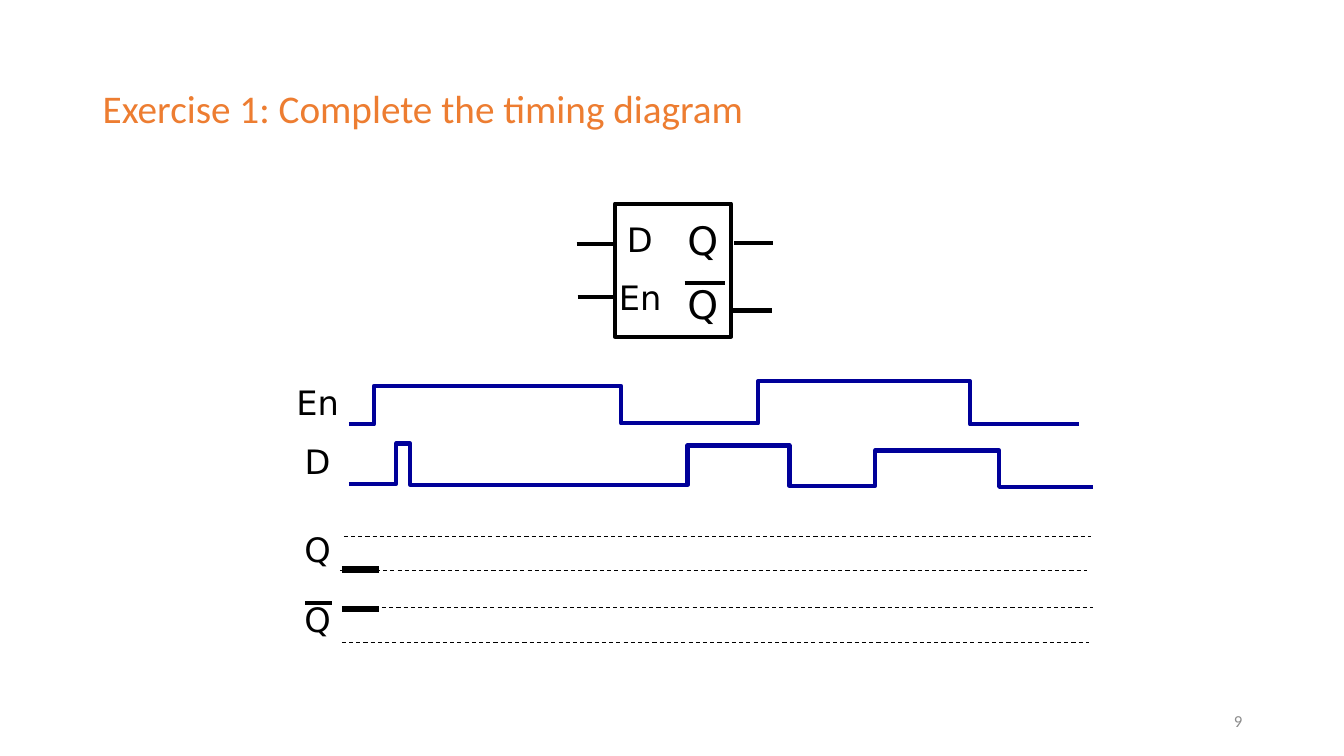
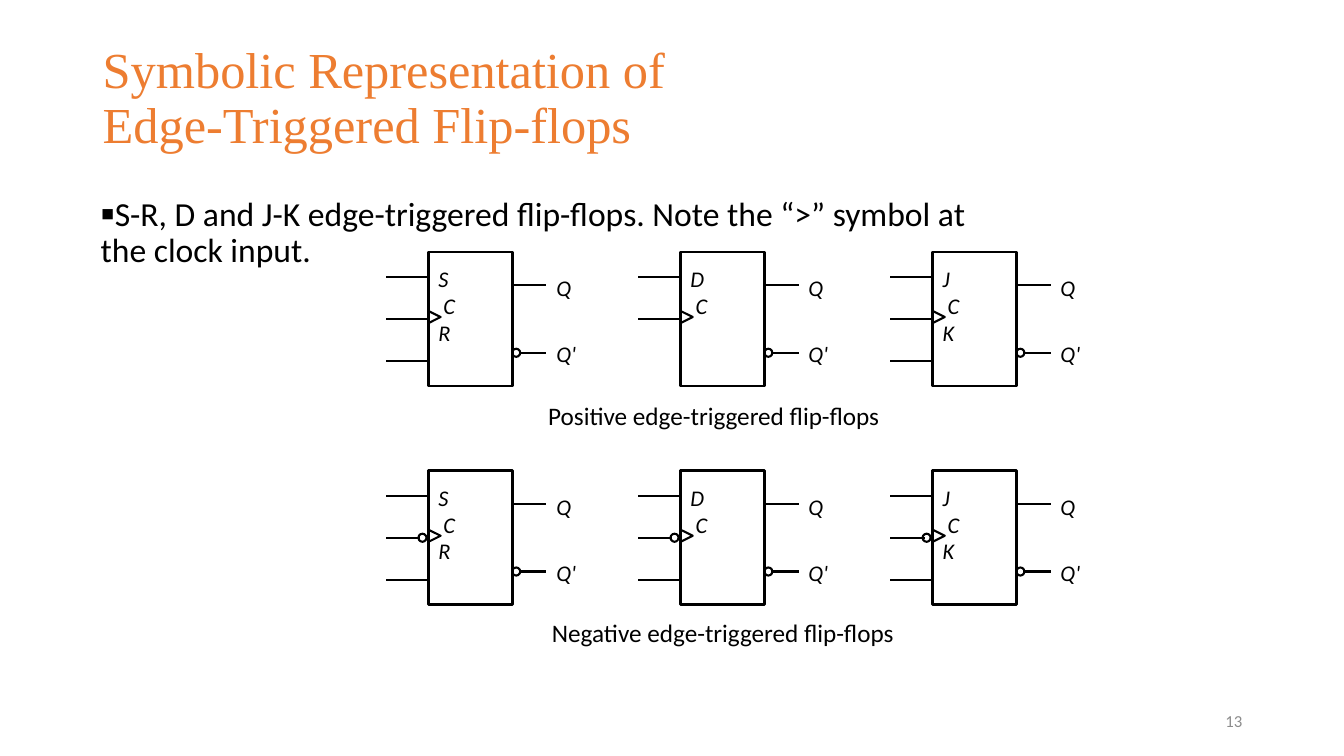
"""Build two slides on latches and edge-triggered flip-flops."""
from lxml import etree
from pptx import Presentation
from pptx import util as u
from pptx.dml.color import RGBColor
from pptx.enum import dml, shapes, text
from pptx.oxml import ns

ORANGE = RGBColor(0xED, 0x7D, 0x31)
NAVY = RGBColor(0x00, 0x00, 0x99)
BLACK = RGBColor(0x00, 0x00, 0x00)
WHITE = RGBColor(0xFF, 0xFF, 0xFF)
GRAY = RGBColor(0x8C, 0x8C, 0x8C)
BODY = "Calibri"
DIAGRAM = "DejaVu Sans"
CENTER = text.PP_ALIGN.CENTER


class Deck:
    def __init__(self):
        self.prs = Presentation()
        self.prs.slide_width = u.Inches(13.33)
        self.prs.slide_height = u.Inches(7.5)

    def start_slide(self, title, number, top, size, font=BODY):
        self.slide = self.prs.slides.add_slide(self.prs.slide_layouts[6])
        self.end_group()
        heading = self.label(title, 0.92, top, 11.5, 1.45, size, font, ORANGE)
        heading.paragraphs[0].line_spacing = 0.9
        page = self.label(str(number), 9.42, 6.95, 3, 0.4, 12, color=GRAY,
                          align=text.PP_ALIGN.RIGHT)
        page.vertical_anchor = text.MSO_ANCHOR.MIDDLE

    def start_group(self):
        self.canvas = self.slide.shapes.add_group_shape().shapes

    def end_group(self):
        self.canvas = self.slide.shapes

    def label(self, words, left, top, width, height, size, font=BODY,
              color=BLACK, align=text.PP_ALIGN.LEFT, italic=False, wrap=True):
        box = self.canvas.add_textbox(*map(u.Inches, (left, top, width, height)))
        frame = box.text_frame
        frame.word_wrap = wrap
        frame.text = words
        for paragraph in frame.paragraphs:
            paragraph.alignment = align
            for run in paragraph.runs:
                run.font.size = u.Pt(size)
                run.font.name = font
                run.font.color.rgb = color
                run.font.italic = italic
        return frame

    def bullet(self, words, left, top, width, height, size):
        paragraph = self.label(words, left, top, width, height, size).paragraphs[0]
        paragraph.line_spacing = 0.9
        props = paragraph._p.get_or_add_pPr()
        for tag, name, value in (("a:buSzPct", "val", "120000"),
                                 ("a:buFont", "typeface", BODY),
                                 ("a:buChar", "char", "▪")):
            etree.SubElement(props, ns.qn(tag)).set(name, value)

    def outline(self, shape, weight, color=BLACK, fill=None):
        shape.shadow.inherit = False
        if fill is None:
            shape.fill.background()
        else:
            shape.fill.solid()
            shape.fill.fore_color.rgb = fill
        shape.line.color.rgb = color
        shape.line.width = u.Pt(weight)
        return shape

    def shape(self, kind, left, top, width, height, weight, fill=None):
        form = self.canvas.add_shape(kind, *map(u.Inches, (left, top, width, height)))
        return self.outline(form, weight, fill=fill)

    def line(self, left, right, y, weight, dashed=False):
        wire = self.canvas.add_connector(shapes.MSO_CONNECTOR.STRAIGHT,
                                         *map(u.Inches, (left, y, right, y)))
        wire.line.color.rgb = BLACK
        wire.line.width = u.Pt(weight)
        if dashed:
            wire.line.dash_style = dml.MSO_LINE.DASH
        etree.SubElement(wire._element.spPr, ns.qn("a:effectLst"))
        return wire

    def waveform(self, start, steps):
        corners = []
        for level, end in steps:
            corners += [(u.Inches(start), u.Inches(level)),
                        (u.Inches(end), u.Inches(level))]
            start = end
        builder = self.canvas.build_freeform(*corners[0])
        builder.add_line_segments(corners[1:], close=False)
        self.outline(builder.convert_to_shape(), 3, NAVY)

    def bubble(self, left, top):
        self.shape(shapes.MSO_SHAPE.OVAL, left, top, 0.08, 0.08, 1.5)

    def flip_flop(self, left, top, inputs, negative, third_wire):
        height = 1.33
        clock = top + height / 2
        self.start_group()
        body = self.shape(shapes.MSO_SHAPE.RECTANGLE, left, top, 0.83, height, 2)
        self.line(left - 0.42, left, top + 0.25, 1.5)
        if third_wire:
            self.line(left - 0.42, left, top + 1.08, 1.5)
        if negative:
            self.line(left - 0.42, left - 0.08, clock, 1.5)
            self.bubble(left - 0.1, clock - 0.04)
        else:
            self.line(left - 0.42, left, clock, 1.5).end_connect(body, 1)
        edge = self.shape(shapes.MSO_SHAPE.ISOSCELES_TRIANGLE,
                          left, clock - 0.08, 0.12, 0.12, 1.5)
        edge.rotation = 90
        self.line(left + 0.83, left + 1.17, top + 0.33, 1.5)
        self.line(left + 0.92, left + 1.17, top + 1, 1.5)
        self.bubble(left + 0.83, top + 0.96)
        names = self.label("\n".join(inputs), left, top + 0.08, 0.58, 0.91, 16,
                           italic=True)
        names.paragraphs[1]._p.get_or_add_pPr().set("marL", str(u.Inches(0.05)))
        outputs = self.label("Q\nQ'", left + 1.17, top + 0.17, 0.5, 1.06, 16,
                             italic=True)
        outputs.paragraphs[1].space_before = u.Pt(28)
        self.end_group()


def timing_slide(deck):
    deck.start_slide("Exercise 1: Complete the timing diagram", 9, 0.84, 28)
    deck.waveform(3.46, [(4.21, 3.71), (3.83, 6.16), (4.2, 7.52),
                         (3.78, 9.62), (4.21, 10.7)])
    deck.waveform(3.46, [(4.8, 3.93), (4.4, 4.07), (4.81, 6.82), (4.42, 7.83),
                         (4.82, 8.68), (4.47, 9.91), (4.83, 10.84)])
    for signal, top in (("En", 3.74), ("D", 4.33), ("Q", 5.2), ("Q", 5.89)):
        deck.label(signal, 2.65, top, 1, 0.5, 24, DIAGRAM, align=CENTER)
    for left, level in ((3.41, 5.32), (3.37, 5.66), (3.43, 6.03), (3.39, 6.37)):
        deck.line(left, left + 7.41, level, 0.75, dashed=True)
    for initial_level in (5.65, 6.04):
        deck.line(3.39, 3.76, initial_level, 4.5)
    deck.line(3.03, 3.29, 5.98, 3)

    deck.start_group()
    deck.shape(shapes.MSO_SHAPE.RECTANGLE, 6.1, 2.02, 1.15, 1.32, 3, WHITE)
    for left, right, y in ((5.72, 6.11, 2.42), (5.73, 6.1, 2.95),
                           (7.28, 7.67, 2.41), (7.27, 7.66, 3.08),
                           (6.79, 7.19, 2.81)):
        deck.line(left, right, y, 3)
    for pin, left, top, width, size in (("D", 6.12, 2.12, 0.46, 24),
                                        ("En", 6.04, 2.7, 0.63, 24),
                                        ("Q", 6.72, 2.1, 0.51, 28),
                                        ("Q", 6.72, 2.73, 0.51, 28)):
        deck.label(pin, left, top, width, 0.5, size, DIAGRAM, wrap=False)
    deck.end_group()


def symbols_slide(deck):
    deck.start_slide("Symbolic Representation of\vEdge-Triggered Flip-flops",
                     13, 0.4, 36, "Times New Roman")
    for top, negative in ((2.5, False), (4.67, True)):
        for column, inputs in enumerate(("SCR", "DC", "JCK")):
            deck.flip_flop(4.25 + 2.5 * column, top, inputs, negative,
                           third_wire=negative or len(inputs) == 3)
    for caption, left, top in (("Positive edge-triggered flip-flops", 5.08, 3.92),
                               ("Negative edge-triggered flip-flops", 5.17, 6.08)):
        deck.label(caption, left, top, 4, 0.4, 18, align=CENTER)
    deck.bullet("S-R, D and J-K edge-triggered flip-flops. Note the “>” symbol "
                "at the clock input.", 0.9, 1.91, 9.27, 0.83, 24)


def main():
    deck = Deck()
    timing_slide(deck)
    symbols_slide(deck)
    deck.prs.save("out.pptx")


if __name__ == "__main__":
    main()
